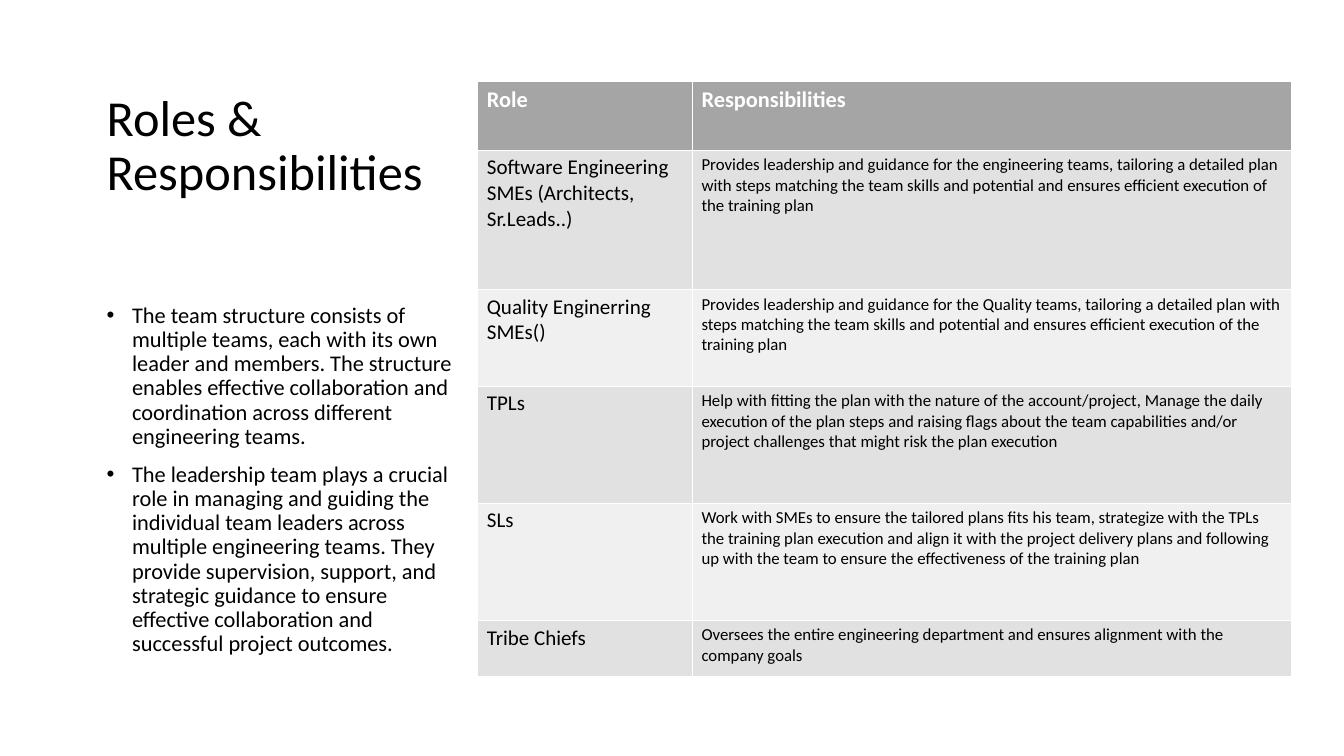
from lxml import etree
from pptx import Presentation
from pptx.dml.color import RGBColor
from pptx.enum.text import MSO_ANCHOR
from pptx.oxml.ns import qn
from pptx.util import Cm, Pt

BOTTOM = MSO_ANCHOR.BOTTOM
TOP = MSO_ANCHOR.TOP
BLACK = RGBColor(0x00, 0x00, 0x00)
WHITE = RGBColor(0xFF, 0xFF, 0xFF)
HEADER_GREY = RGBColor(0xA5, 0xA5, 0xA5)
ODD_GREY = RGBColor(0xE1, 0xE1, 0xE1)
EVEN_GREY = RGBColor(0xF0, 0xF0, 0xF0)

LEFT, TEXT_WIDTH = 2.44, 9.6
TABLE_LEFT, TABLE_TOP = 12.04, 2.06
COLUMN_WIDTHS = [5.41, 15.09]
ROW_HEIGHTS = [1.73, 3.51, 2.44, 2.95, 2.95, 1.4]

TEAM_POINTS = [
    "The team structure consists of multiple teams, each with its own leader and members. "
    "The structure enables effective collaboration and coordination across different "
    "engineering teams.",
    "The leadership team plays a crucial role in managing and guiding the individual team "
    "leaders across multiple engineering teams. They provide supervision, support, and "
    "strategic guidance to ensure effective collaboration and successful project outcomes.",
]
ROLES = [
    ("Role", "Responsibilities"),
    ("Software Engineering SMEs (Architects, Sr.Leads..)",
     "Provides leadership and guidance for the engineering teams, tailoring a detailed plan "
     "with steps matching the team skills and potential and ensures efficient execution of "
     "the training plan"),
    ("Quality Enginerring SMEs()",
     "Provides leadership and guidance for the Quality teams, tailoring a detailed plan with "
     "steps matching the team skills and potential and ensures efficient execution of the "
     "training plan"),
    ("TPLs",
     "Help with fitting the plan with the nature of the account/project, Manage the daily "
     "execution of the plan steps and raising flags about the team capabilities and/or "
     "project challenges that might risk the plan execution"),
    ("SLs",
     "Work with SMEs to ensure the tailored plans fits his team, strategize with the TPLs "
     "the training plan execution and align it with the project delivery plans and following "
     "up with the team to ensure the effectiveness of the training plan"),
    ("Tribe Chiefs",
     "Oversees the entire engineering department and ensures alignment with the company goals"),
]


def format_runs(para, size, color=BLACK, bold=False):
    for span in para.runs:
        span.font.name = "Calibri"
        span.font.size = Pt(size)
        span.font.bold = bold
        span.font.color.rgb = color


def add_text_frame(page, top, height, anchor):
    box = page.shapes.add_textbox(Cm(LEFT), Cm(top), Cm(TEXT_WIDTH), Cm(height))
    box.text_frame.word_wrap = True
    box.text_frame.vertical_anchor = anchor
    return box.text_frame


deck = Presentation()
deck.slide_width, deck.slide_height = Cm(33.87), Cm(19.05)
page = deck.slides.add_slide(deck.slide_layouts[6])

title = add_text_frame(page, TABLE_TOP, 3.15, BOTTOM)
title.text = "Roles & Responsibilities"
title.paragraphs[0].line_spacing = 0.9
format_runs(title.paragraphs[0], 36)

body = add_text_frame(page, 7.54, 9.47, TOP)
body.text = "\n".join(TEAM_POINTS)
for para in body.paragraphs:
    para.line_spacing = 0.9
    para.space_before = Pt(10)
    format_runs(para, 16)
    properties = para._p.get_or_add_pPr()
    properties.set("marL", str(Cm(0.64)))
    properties.set("indent", str(Cm(-0.64)))
    etree.SubElement(properties, qn("a:buFont")).set("typeface", "Arial")
    etree.SubElement(properties, qn("a:buChar")).set("char", "•")

table = page.shapes.add_table(
    len(ROLES), len(COLUMN_WIDTHS), Cm(TABLE_LEFT), Cm(TABLE_TOP),
    Cm(sum(COLUMN_WIDTHS)), Cm(sum(ROW_HEIGHTS))).table
for column, width in zip(table.columns, COLUMN_WIDTHS):
    column.width = Cm(width)
for row_index, (row, height) in enumerate(zip(table.rows, ROW_HEIGHTS)):
    row.height = Cm(height)
    is_header = row_index == 0
    fill_color = HEADER_GREY if is_header else ODD_GREY if row_index % 2 else EVEN_GREY
    for cell, wording, size in zip(row.cells, ROLES[row_index], (15, 12)):
        cell.text = wording
        cell.margin_left = cell.margin_right = Cm(0.23)
        cell.margin_top = cell.margin_bottom = Cm(0.11)
        cell.fill.solid()
        cell.fill.fore_color.rgb = fill_color
        format_runs(cell.text_frame.paragraphs[0], 16 if is_header else size,
                    WHITE if is_header else BLACK, is_header)

deck.save("out.pptx")
